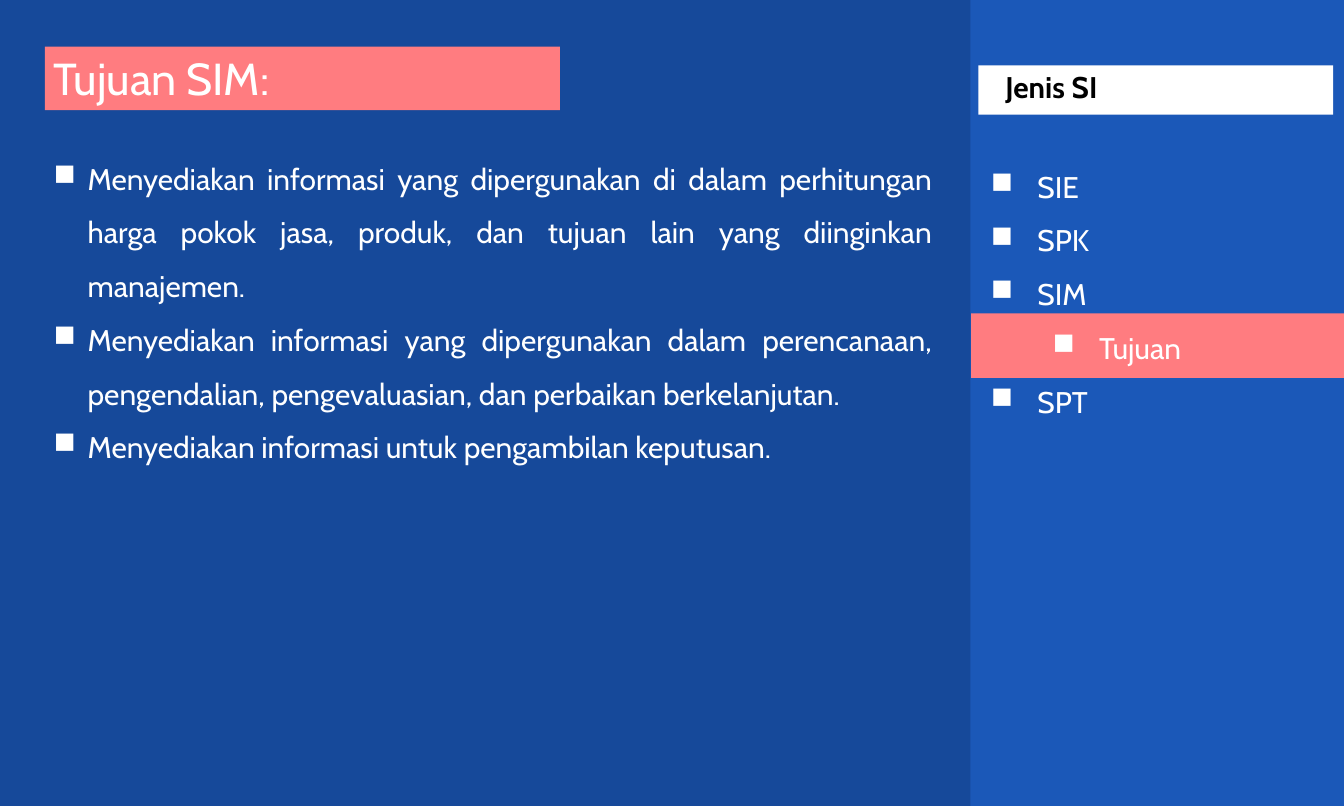
from dataclasses import dataclass

from lxml.etree import SubElement
from pptx import Presentation
from pptx.dml.color import RGBColor as RGB
from pptx.enum.shapes import MSO_SHAPE as Shape
from pptx.enum.text import MSO_ANCHOR as Anchor, PP_ALIGN as Align
from pptx.oxml.ns import qn
from pptx.util import Inches, Pt


@dataclass(frozen=True)
class Theme:
    """Colours, font and type sizes of the slide."""
    navy: str = "16499A"
    blue: str = "1B58B8"
    pink: str = "FF7C80"
    white: str = "FFFFFF"
    black: str = "000000"
    font: str = "Cabin"
    title: int = 36
    body: int = 24


THEME = Theme()
GOALS = [
    "Menyediakan informasi yang dipergunakan di dalam perhitungan harga pokok "
    "jasa, produk, dan tujuan lain yang diinginkan manajemen.",
    "Menyediakan informasi yang dipergunakan dalam perencanaan, pengendalian, "
    "pengevaluasian, dan perbaikan berkelanjutan.",
    "Menyediakan informasi untuk pengambilan keputusan.",
]
MENU = [("SIE", 0), ("SPK", 0), ("SIM", 0), ("Tujuan", 1), ("SPT", 0)]
INDENTS = [0.82, 1.51]


def add_bar(slide, area, color):
    """Add a plain filled rectangle."""
    bar = slide.shapes.add_shape(Shape.RECTANGLE, *map(Inches, area))
    bar.shadow.inherit = False
    bar.fill.solid()
    bar.fill.fore_color.rgb = RGB.from_string(color)
    bar.line.fill.background()
    return bar


def add_box(slide, area):
    """Add a wrapping text box and return its frame."""
    frame = slide.shapes.add_textbox(*map(Inches, area)).text_frame
    frame.word_wrap = True
    return frame


def write(para, text, size, color, bold=False, **form):
    """Write one run of text in a paragraph with the given format."""
    for name, value in form.items():
        setattr(para, name, value)
    font = para.add_run().font
    para.runs[0].text = text
    style = {"name": THEME.font, "size": Pt(size), "bold": bold}
    for name, value in style.items():
        setattr(font, name, value)
    font.color.rgb = RGB.from_string(color)


def add_bullet(para, left, hang):
    """Give a paragraph a white square bullet with a hanging indent."""
    props = para._p.get_or_add_pPr()
    props.set("marL", str(Inches(left)))
    props.set("indent", str(-Inches(hang)))
    color = SubElement(props, qn("a:buClr"))
    SubElement(color, qn("a:srgbClr"), val=THEME.white)
    SubElement(props, qn("a:buChar"), char="■")


def add_list(slide, area, items, hang, gap=0, **form):
    """Add a bulleted list of (text, level, indent) items."""
    frame = add_box(slide, area)
    for row, (text, level, left) in enumerate(items):
        para = frame.add_paragraph() if row else frame.paragraphs[0]
        add_bullet(para, left, hang)
        write(para, text, THEME.body, THEME.white, level=level,
              space_before=Pt(gap if row else 0), **form)


def add_title(slide):
    """Add the slide title on its pink bar."""
    frame = add_bar(slide, (0.5, 0.52, 5.75, 0.71), THEME.pink).text_frame
    frame.vertical_anchor = Anchor.TOP
    write(frame.paragraphs[0], "Tujuan SIM:", THEME.title, THEME.white,
          alignment=Align.JUSTIFY)


def add_head(slide):
    """Add the white heading of the side menu."""
    frame = add_bar(slide, (10.92, 0.73, 3.96, 0.55), THEME.white).text_frame
    margins = {"left": 0.3, "top": 0, "right": 0, "bottom": 0}
    for side, size in margins.items():
        setattr(frame, f"margin_{side}", Inches(size))
    frame.vertical_anchor = Anchor.MIDDLE
    write(frame.paragraphs[0], "Jenis SI", THEME.body, THEME.black, bold=True,
          alignment=Align.LEFT, line_spacing=0.8)


def main():
    """Build the slide and save it."""
    deck = Presentation()
    deck.slide_width, deck.slide_height = Inches(15), Inches(9)
    slide = deck.slides.add_slide(deck.slide_layouts[6])
    slide.background.fill.solid()
    slide.background.fill.fore_color.rgb = RGB.from_string(THEME.navy)

    add_bar(slide, (10.83, 0, 4.17, 9), THEME.blue)
    add_title(slide)
    add_list(slide, (0.5, 1.54, 10, 3.66), [(text, 0, 0.38) for text in GOALS],
             0.38, alignment=Align.JUSTIFY, line_spacing=1.5)
    add_head(slide)
    add_bar(slide, (10.84, 3.5, 4.16, 0.72), THEME.pink)
    add_list(slide, (10.66, 1.83, 4.01, 2.91),
             [(text, level, INDENTS[level]) for text, level in MENU],
             0.52, gap=14.4)
    deck.save("out.pptx")


if __name__ == "__main__":
    main()
